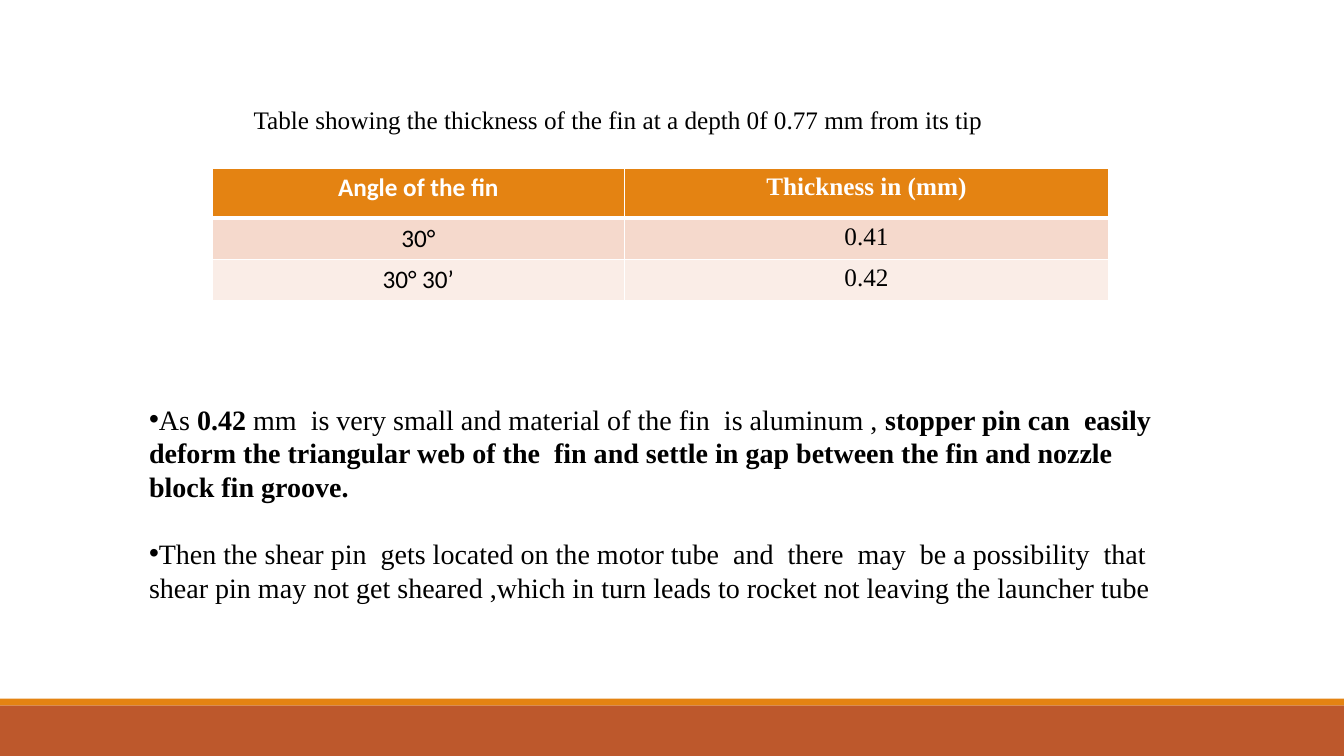
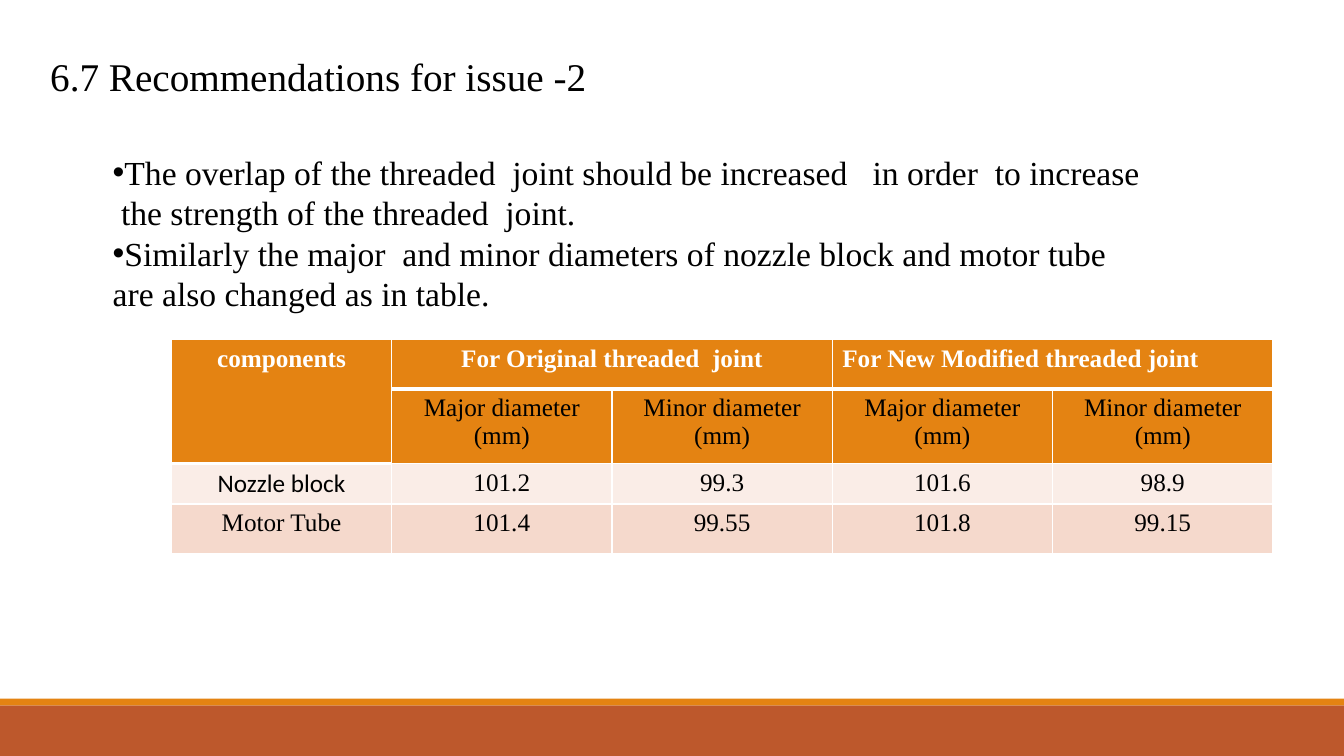
from lxml.etree import SubElement
from pptx import Presentation
from pptx.dml.color import RGBColor
from pptx.enum.shapes import MSO_SHAPE as Preset
from pptx.enum.text import PP_ALIGN as Align
from pptx.oxml import parse_xml
from pptx.oxml.ns import nsdecls, qn
from pptx.util import Inches, Pt

ORANGE, RUST, WHITE, BLACK = "E48312", "BD582C", "FFFFFF", "000000"
PEACH, BLUSH = "F5D9CC", "FAEDE7"
SERIF, SANS = "Times New Roman", "Calibri"
GRID_COLUMNS = 160
SANS_CELLS = {"Angle of the fin", "30°", "30° 30’", "Nozzle block"}

presentation = Presentation()
presentation.slide_width = Inches(13.33)
presentation.slide_height = Inches(7.5)
unit = presentation.slide_width / GRID_COLUMNS


def grid(*lengths):
    return [round(length * unit) for length in lengths]


def style(font, color, **values):
    font.color.rgb = RGBColor.from_string(color)
    for name, value in values.items():
        setattr(font, name, value)


bands = [((0, 84, 160, 6), RUST), ((0, 83.2, 160, 0.8), ORANGE)]

pages = [
    {
        "texts": [
            {
                "box": (16.56, 47.28, 122.88, 29),
                "size": 20,
                "bullet": True,
                "gap": 24,
                "paragraphs": [
                    [
                        ("As ", False),
                        ("0.42", True),
                        (" mm  is very small and material of the fin  is aluminum , ", False),
                        ("stopper pin can  easily deform the triangular web of the  fin "
                         "and settle in gap between the fin and nozzle block fin groove.", True),
                    ],
                    [("Then the shear pin  gets located on the motor tube  and  there  may  be "
                      "a possibility  that shear pin may not get sheared ,which in turn leads "
                      "to rocket not leaving the launcher tube", False)],
                ],
            },
            {
                "box": (29, 11.88, 102, 4.8),
                "size": 18,
                "paragraphs": [[("Table showing the thickness of the fin at a depth "
                                 "0f 0.77 mm from its tip", False)]],
            },
        ],
        "origin": (25.3, 20),
        "columns": (49, 57.7),
        "rows": (6, 4.9, 4.9),
        "fills": (ORANGE, PEACH, BLUSH),
        "merges": [],
        "cells": [
            ["Angle of the fin", "Thickness in (mm)"],
            ["30°", "0.41"],
            ["30° 30’", "0.42"],
        ],
    },
    {
        "texts": [
            {
                "box": (4.8, 5.64, 84, 6.84),
                "size": 28,
                "paragraphs": [[("6.7 Recommendations for issue -2", False)]],
            },
            {
                "box": (12.24, 17.5, 124.8, 25.4),
                "size": 24,
                "bullet": True,
                "paragraphs": [
                    [("The overlap of the threaded  joint should be increased   in order  "
                      "to increase  the strength of the threaded  joint.", False)],
                    [("Similarly the major  and minor diameters of nozzle block and motor tube "
                      "are also changed as in table.", False)],
                ],
            },
        ],
        "origin": (20.4, 40.44),
        "columns": (26.23,) * 5,
        "rows": (5.88, 8.88, 4.8, 5.88),
        "fills": (ORANGE, ORANGE, BLUSH, PEACH),
        "merges": [((0, 0), (1, 0)), ((0, 1), (0, 2)), ((0, 3), (0, 4))],
        "cells": [
            ["components", "For Original threaded  joint", "", "For New Modified threaded joint", ""],
            ["", *["Major diameter (mm)", "Minor diameter (mm)"] * 2],
            ["Nozzle block", "101.2", "99.3", "101.6", "98.9"],
            ["Motor Tube", "101.4", "99.55", "101.8", "99.15"],
        ],
    },
]

for page in pages:
    slide = presentation.slides.add_slide(presentation.slide_layouts[6])

    for box, color in bands:
        band = slide.shapes.add_shape(Preset.RECTANGLE, *grid(*box))
        band.shadow.inherit = False
        band.fill.solid()
        band.fill.fore_color.rgb = RGBColor.from_string(color)
        band.line.fill.background()

    for text in page["texts"]:
        frame = slide.shapes.add_textbox(*grid(*text["box"])).text_frame
        frame.word_wrap = True
        for index, runs in enumerate(text["paragraphs"]):
            paragraph = frame.add_paragraph() if index else frame.paragraphs[0]
            if text.get("bullet"):
                paragraph.line_spacing = Pt(text["size"] * 1.2)
                if index:
                    paragraph.space_before = Pt(text.get("gap", 0))
                properties = paragraph._p.get_or_add_pPr()
                SubElement(properties, qn("a:buFont")).set("typeface", "Arial")
                SubElement(properties, qn("a:buChar")).set("char", "•")
            for words, bold in runs:
                run = paragraph.add_run()
                run.text = words
                style(run.font, BLACK, name=SERIF, size=Pt(text["size"]), bold=bold)

    columns, rows = grid(*page["columns"]), grid(*page["rows"])
    table = slide.shapes.add_table(
        len(rows), len(columns), *grid(*page["origin"]), sum(columns), sum(rows)
    ).table
    for column, width in zip(table.columns, columns):
        column.width = width
    for row, height in zip(table.rows, rows):
        row.height = height
    for start, end in page["merges"]:
        table.cell(*start).merge(table.cell(*end))

    for row_index, words_in_row in enumerate(page["cells"]):
        header = row_index == 0
        for column_index, words in enumerate(words_in_row):
            cell = table.cell(row_index, column_index)
            cell.fill.solid()
            cell.fill.fore_color.rgb = RGBColor.from_string(page["fills"][row_index])
            widths = {"L": 1, "R": 1, "T": 3 if row_index == 1 else 1, "B": 3 if header else 1}
            properties = cell._tc.get_or_add_tcPr()
            for position, (side, width) in enumerate(widths.items()):
                properties.insert(position, parse_xml(
                    f'<a:ln{side} {nsdecls("a")} w="{Pt(width)}"><a:solidFill>'
                    f'<a:srgbClr val="{WHITE}"/></a:solidFill></a:ln{side}>'
                ))
            if words:
                paragraph = cell.text_frame.paragraphs[0]
                paragraph.alignment = Align.LEFT if "Modified" in words else Align.CENTER
                run = paragraph.add_run()
                run.text = words
                style(
                    run.font,
                    WHITE if header else BLACK,
                    name=SANS if words in SANS_CELLS else SERIF,
                    size=Pt(18),
                    bold=header,
                )

presentation.save("out.pptx")
